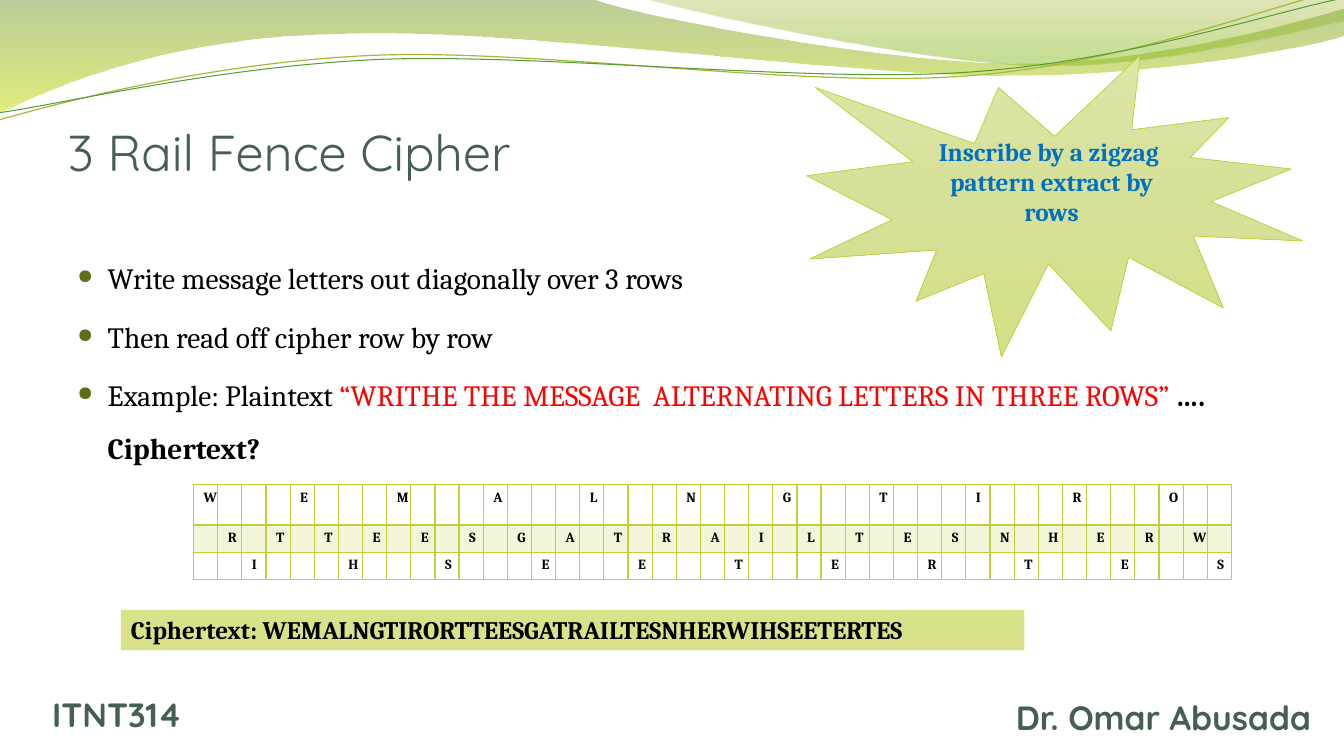
from math import cos, radians, sin

from lxml import etree
from pptx import Presentation
from pptx.dml.color import RGBColor
from pptx.enum.shapes import MSO_SHAPE
from pptx.enum.text import MSO_ANCHOR, PP_ALIGN
from pptx.oxml.ns import qn
from pptx.util import Inches, Pt

RECTANGLE, STAR = MSO_SHAPE.RECTANGLE, MSO_SHAPE.EXPLOSION1
TOP, MIDDLE, BOTTOM = MSO_ANCHOR.TOP, MSO_ANCHOR.MIDDLE, MSO_ANCHOR.BOTTOM
LEFT, CENTER = PP_ALIGN.LEFT, PP_ALIGN.CENTER

BLACK = RGBColor(0x00, 0x00, 0x00)
RED = RGBColor(0xFF, 0x00, 0x00)
BLUE = RGBColor(0x00, 0x70, 0xC0)
SLATE = RGBColor(0x45, 0x5F, 0x51)
BULLET = RGBColor(0x62, 0x6B, 0x1A)
LIME = RGBColor(0xC0, 0xCF, 0x3A)
LIME_TINT = RGBColor(0xF2, 0xF5, 0xD8)
LIME_PALE = RGBColor(0xD9, 0xE2, 0x89)
OLIVE_LINE = RGBColor(0xA9, 0xB7, 0x33)
GREEN_LINE = RGBColor(0x54, 0x9E, 0x39)
MOSS = RGBColor(0x69, 0x92, 0x1C)
YELLOW = RGBColor(0xCC, 0xE1, 0x0F)
KHAKI = RGBColor(0x9B, 0xAA, 0x1A)
LEAF = RGBColor(0x81, 0xBA, 0x16)
STAR_TOP = RGBColor(0xDD, 0xE6, 0xA6)
STAR_MIDDLE = RGBColor(0xD7, 0xE0, 0x98)
STAR_BOTTOM = RGBColor(0xD4, 0xE0, 0x84)

COLUMNS, ROWS = 13.33, 7.5
SERIF, SANS = "Cambria", "Quicksand"


def write(para, text, *, size=18, font=SERIF, color=BLACK, bold=False, align=None):
    span = para.add_run()
    span.text = text
    span.font.size, span.font.name, span.font.bold = Pt(size), font, bold
    span.font.color.rgb = color
    if align is not None:
        para.alignment = align


def add_node(parent, tag, **attributes):
    node = etree.SubElement(parent, qn(tag))
    for name, value in attributes.items():
        node.set(name, str(value))
    return node


def turn(point, center, degrees):
    """The point turned clockwise about the center."""
    x, y = point[0] - center[0], point[1] - center[1]
    angle = radians(degrees)
    return (center[0] + x * cos(angle) - y * sin(angle),
            center[1] + x * sin(angle) + y * cos(angle))


class Page:
    def __init__(self, deck):
        self.column = deck.slide_width / COLUMNS
        self.row = deck.slide_height / ROWS
        self.slide = deck.slides.add_slide(deck.slide_layouts[5])
        self.shapes = self.slide.shapes

    def across(self, columns):
        return round(columns * self.column)

    def down(self, rows):
        return round(rows * self.row)

    def place(self, left, top, width, height):
        return self.across(left), self.down(top), self.across(width), self.down(height)

    def frame(self, shape, anchor=TOP, insets=(0.1, 0.05, 0.1, 0.05)):
        frame = shape.text_frame
        frame.word_wrap, frame.vertical_anchor = True, anchor
        left, top, right, bottom = insets
        frame.margin_left, frame.margin_right = self.across(left), self.across(right)
        frame.margin_top, frame.margin_bottom = self.down(top), self.down(bottom)
        return frame

    def paint(self, shape, fill=None, stops=(), line=None, width=1):
        shape.shadow.inherit = False
        if fill is not None:
            shape.fill.solid()
            shape.fill.fore_color.rgb = fill
        else:
            shape.fill.background()
        if stops:
            blank = shape._element.spPr.find(qn("a:noFill"))
            gradient = etree.Element(qn("a:gradFill"), rotWithShape="1")
            listing = add_node(gradient, "a:gsLst")
            for position, color, opacity in stops:
                stop = add_node(listing, "a:gs", pos=position * 1000)
                tone = add_node(stop, "a:srgbClr", val=color)
                add_node(tone, "a:alpha", val=opacity * 1000)
            add_node(gradient, "a:lin", ang=90 * 60000, scaled=0)
            blank.getparent().replace(blank, gradient)
        if line is None:
            shape.line.fill.background()
        else:
            shape.line.color.rgb, shape.line.width = line, Pt(width)

    def wave(self, start, *moves, close=False, center=(0, 0), tilt=0, **look):
        """A move is one point for a line, or three points for a curve."""
        points = [start] + [point for move in moves for point in move]
        places = [(self.across(x), self.down(y))
                  for x, y in (turn(point, center, -tilt) for point in points)]
        builder = self.shapes.build_freeform(*places[0])
        builder.add_line_segments(places[1:], close=close)
        shape = builder.convert_to_shape()
        shape.rotation = tilt % 360
        # Join each three points into one cubic curve
        segments = iter(list(shape._element.iter(qn("a:lnTo"))))
        for move in moves:
            group = [next(segments) for _ in move]
            if len(group) == 3:
                curve = etree.Element(qn("a:cubicBezTo"))
                group[0].addprevious(curve)
                for segment in group:
                    curve.append(segment[0])
                    segment.getparent().remove(segment)
        self.paint(shape, **look)

    def title(self, text, at):
        box = self.shapes.title
        box.left, box.top, box.width, box.height = self.place(*at)
        frame = self.frame(box, BOTTOM, (0, 0.05, 0, 0))
        write(frame.paragraphs[0], text, size=36, font=SANS, color=SLATE, align=LEFT)

    def label(self, text, at):
        box = self.shapes.add_textbox(*self.place(*at))
        para = self.frame(box, insets=(0, 0.05, 0.08, 0.05)).paragraphs[0]
        para.space_before = Pt(4)
        write(para, text, size=24, font=SANS, color=SLATE, bold=True, align=CENTER)

    def bullets(self, items, at):
        box = self.shapes.add_textbox(*self.place(*at))
        frame = self.frame(box, insets=(0.1, 0.06, 0.1, 0.05))
        for index, spans in enumerate(items):
            para = frame.add_paragraph() if index else frame.paragraphs[0]
            para.line_spacing, para.space_before = 1.5, Pt(4)
            for text, look in spans:
                write(para, text, size=21, **look)
            layout = para._p.get_or_add_pPr()
            layout.set("marL", str(Inches(0.3)))
            layout.set("indent", str(-Inches(0.3)))
            add_node(add_node(layout, "a:buClr"), "a:srgbClr", val=BULLET)
            add_node(layout, "a:buSzPct", val=68000)
            add_node(layout, "a:buChar", char="●")

    def panel(self, kind, text, at, anchor=TOP, insets=(0.1, 0.05, 0.1, 0.05),
              color=BLACK, align=LEFT, **look):
        shape = self.shapes.add_shape(kind, *self.place(*at))
        self.paint(shape, **look)
        para = self.frame(shape, anchor, insets).paragraphs[0]
        write(para, text, color=color, bold=True, align=align)

    def rails(self, rails, count, at, heights):
        holder = self.shapes.add_table(len(rails), count, *self.place(*at))
        table = holder.table
        table.first_row = table.horz_banding = False
        for column in table.columns:
            column.width = self.across(at[2] / count)
        for index, (letters, first, step) in enumerate(rails):
            table.rows[index].height = self.down(heights[index])
            spots = dict(zip(range(first, count, step), letters))
            for number, cell in enumerate(table.rows[index].cells):
                para = cell.text_frame.paragraphs[0]
                if number in spots:
                    write(para, spots[number], size=10, bold=True, align=CENTER)
                else:
                    add_node(para._p, "a:endParaRPr", sz=1000 if index else 1800)
                self.borders(cell, top=2 if index == 1 else 1, bottom=1 if index else 2)
                if index == 1:
                    cell.fill.solid()
                    cell.fill.fore_color.rgb = LIME_TINT
                else:
                    cell.fill.background()
        holder.height = self.down(at[3])

    def borders(self, cell, top, bottom):
        properties = cell._tc.get_or_add_tcPr()
        for side, width in (("L", 1), ("R", 1), ("T", top), ("B", bottom)):
            edge = add_node(properties, f"a:ln{side}", w=Pt(width))
            add_node(add_node(edge, "a:solidFill"), "a:srgbClr", val=LIME)


def main():
    deck = Presentation()
    deck.slide_width, deck.slide_height = Inches(COLUMNS), Inches(ROWS)
    page = Page(deck)

    # Waves along the top
    page.wave((0, 0), [(5.87, -0.01)],
              ((6.34, 0.17), (8.84, 0.63), (10.11, 0.63)),
              ((11.37, 0.63), (12.77, 0.26), (13.33, 0.09)), [(13.34, 0.36)],
              ((13.11, 0.44), (11.59, 0.76), (9.94, 0.75)),
              ((8.29, 0.75), (5.09, 0.28), (3.43, 0.34)),
              ((1.72, 0.36), (0.61, 0.83), (-0.02, 1.13)),
              close=True, stops=((0, MOSS, 45), (100, YELLOW, 55)))
    page.wave((6.38, -0.01), ((6.79, 0.11), (9.09, 0.62), (10.25, 0.65)),
              ((11.4, 0.69), (12.82, 0.32), (13.33, 0.21)), [(13.33, 0)],
              close=True, stops=((0, KHAKI, 30), (80, LEAF, 45)))
    page.wave((-0.01, 1.19), ((0.63, 1.01), (2.1, 0.62), (3.69, 0.55)),
              ((5.27, 0.48), (7.89, 0.87), (9.49, 0.76)),
              ((11.1, 0.66), (12.51, 0.08), (13.3, -0.1)),
              center=(6.65, 0.57), tilt=-2.7, line=OLIVE_LINE, width=0.85)
    page.wave((-0.01, 1.12), ((0.62, 1.03), (2.18, 0.66), (3.77, 0.59)),
              ((5.37, 0.53), (7.96, 0.82), (9.55, 0.72)),
              ((11.14, 0.62), (12.55, 0.14), (13.33, -0.02)),
              center=(6.67, 0.59), tilt=-2.7, line=GREEN_LINE, width=0.75)

    # Title, bullets and footer
    page.title("3 Rail Fence Cipher", (0.67, 1.16, 5.33, 0.64))
    page.bullets([
        [("Write message letters out diagonally over 3 rows", {})],
        [("Then read off cipher row by row", {})],
        [("Example: Plaintext ", {}),
         ("“WRITHE THE MESSAGE  ALTERNATING LETTERS IN THREE ROWS” ", {"color": RED}),
         ("…. Ciphertext?", {"bold": True})],
    ], (0.67, 2.35, 12.67, 4.87))
    page.label("Dr. Omar Abusada", (9.83, 6.86, 3.5, 0.64))
    page.label("ITNT314", (0.28, 6.83, 1.84, 0.62))

    # Ciphertext and the three rails: letters, first column, step
    rails = [("WEMALNGTIRO", 0, 4), ("RTTEESGATRAILTESNHERW", 1, 2), ("IHSEETERTES", 2, 4)]
    ciphertext = "".join(letters for letters, _, _ in rails)
    page.panel(RECTANGLE, f"Ciphertext: {ciphertext}", (1.2, 6.05, 8.96, 0.4), fill=LIME_PALE)
    page.rails(rails, len(ciphertext), (1.92, 4.81, 9.79, 0.93), (0.26, 0.26, 0.27))

    # Star with the rule
    page.panel(STAR, "Inscribe by a zigzag  pattern extract by rows", (8, 0.55, 4.92, 2.99),
               anchor=MIDDLE, insets=(0.1, 0.05, 0.1, 0.35), color=BLUE, align=CENTER,
               stops=((0, STAR_TOP, 100), (50, STAR_MIDDLE, 100), (100, STAR_BOTTOM, 100)),
               line=LIME, width=0.5)
    deck.save("out.pptx")


if __name__ == "__main__":
    main()
